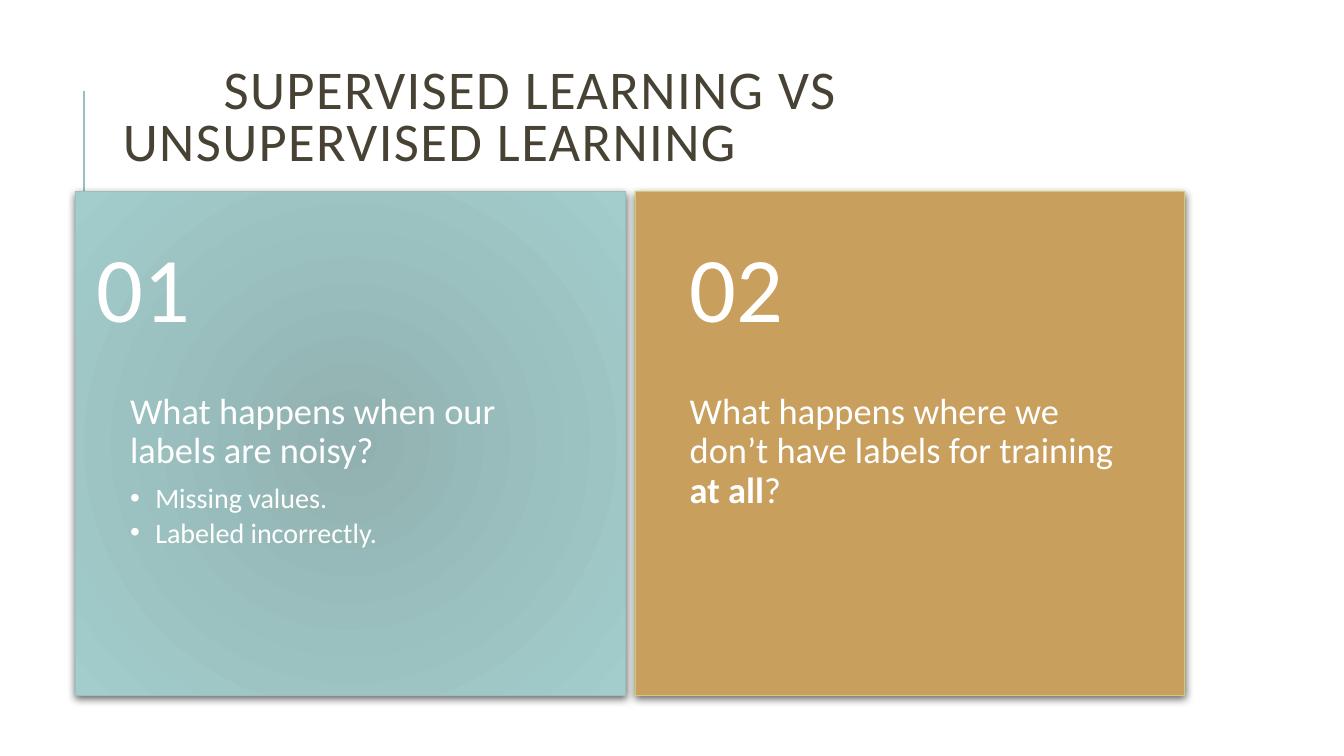
from lxml.etree import SubElement as Sub
from pptx import Presentation
from pptx.dml.color import RGBColor
from pptx.enum.shapes import MSO_CONNECTOR as Conn, MSO_SHAPE as Shape
from pptx.enum.text import MSO_ANCHOR as Anchor
from pptx.oxml.ns import qn
from pptx.util import Inches, Pt

FONT = "Calibri"
WHITE = "FFFFFF"
CARD_W, CARD_H, CARD_TOP = 5.45, 5, 1.9
HEAD_H = 2


def rgb(code):
    return RGBColor.from_string(code)


def add_box(slide, x, y, w, h, insets, anchor=Anchor.TOP):
    box = slide.shapes.add_textbox(Inches(x), Inches(y), Inches(w), Inches(h))
    frame = box.text_frame
    frame.word_wrap = True
    frame.vertical_anchor = anchor
    sides = [Inches(n) for n in insets]
    frame.margin_left, frame.margin_top, frame.margin_right, frame.margin_bottom = sides
    return frame


def add_run(para, text, size, color=WHITE, bold=False):
    run = para.add_run()
    run.text = text
    font = run.font
    font.name, font.size, font.bold = FONT, Pt(size), bold
    font.color.rgb = rgb(color)
    return run


def set_gap(para, after, line=0.9):
    """Set line spacing, and space after as a percentage of the text size."""
    para.line_spacing = line
    para.space_after = Pt(0)
    gap = para._p.pPr.find(qn("a:spcAft"))
    gap.clear()
    Sub(gap, qn("a:spcPct"), val=str(after * 1000))


def set_bullet(para):
    para.level = 1
    props = para._p.get_or_add_pPr()
    props.set("marL", str(Inches(0.25)))
    props.set("indent", str(-Inches(0.25)))
    Sub(props, qn("a:buFont"), typeface="Arial")
    Sub(props, qn("a:buChar"), char="•")


def set_glow(fill, inner, outer):
    """Radial gradient from the centre of the card."""
    fill.gradient()
    for stop, color, pos in zip(fill.gradient_stops, (inner, outer), (0, 1)):
        stop.color.rgb = rgb(color)
        stop.position = pos


def add_shadow(card):
    card.shadow.inherit = False
    effects = card._element.spPr.find(qn("a:effectLst"))
    shade = Sub(effects, qn("a:outerShdw"), blurRad=str(Pt(6)), dist=str(Pt(2)),
                dir="5400000", algn="ctr", rotWithShape="0")
    black = Sub(shade, qn("a:srgbClr"), val="000000")
    Sub(black, qn("a:alpha"), val="60000")


def add_card(slide, x, fills, edge):
    card = slide.shapes.add_shape(Shape.RECTANGLE, Inches(x), Inches(CARD_TOP),
                                  Inches(CARD_W), Inches(CARD_H))
    if len(fills) == 2:
        set_glow(card.fill, *fills)
        grad = card._element.spPr.find(qn("a:gradFill"))
        grad.remove(grad.find(qn("a:lin")))
        ring = Sub(grad, qn("a:path"), path="circle")
        Sub(ring, qn("a:fillToRect"), **dict.fromkeys("ltrb", "100000"))
    else:
        card.fill.solid()
        card.fill.fore_color.rgb = rgb(fills[0])
    card.line.color.rgb = rgb(edge)
    card.line.width = Pt(0.75)
    add_shadow(card)


def add_number(slide, x, text):
    frame = add_box(slide, x, CARD_TOP, CARD_W, HEAD_H,
                    (0.54, 0.18, 0.54, 0.18), Anchor.MIDDLE)
    para = frame.paragraphs[0]
    set_gap(para, 35)
    add_run(para, text, 66)


def add_body(slide, x, runs, points=()):
    frame = add_box(slide, x, CARD_TOP + HEAD_H, CARD_W, CARD_H - HEAD_H,
                    (0.54, 0, 0.54, 0.36))
    para = frame.paragraphs[0]
    set_gap(para, 35)
    for text, bold in runs:
        add_run(para, text, 26, bold=bold)
    for point in points:
        para = frame.add_paragraph()
        set_gap(para, 15)
        set_bullet(para)
        add_run(para, point, 20)


def add_title(slide, text):
    frame = add_box(slide, 1.12, 0.64, 10.63, 1.64, (0.1, 0.03, 0.1, 0.05))
    para = frame.paragraphs[0]
    para.line_spacing = 0.8
    para._p.get_or_add_pPr().set("indent", str(Inches(1)))
    run = add_run(para, text, 39, "474233")
    run.font._element.set("spc", "100")


def add_rule(slide):
    rule = slide.shapes.add_connector(Conn.STRAIGHT, Inches(0.83), Inches(1.9),
                                      Inches(0.83), Inches(0.9))
    rule.line.color.rgb = rgb("9CBEBD")
    rule.line.width = Pt(1.5)
    Sub(rule._element.spPr, qn("a:effectLst"))


def main():
    deck = Presentation()
    deck.slide_width, deck.slide_height = Inches(13.33), Inches(7.5)
    slide = deck.slides.add_slide(deck.slide_layouts[6])

    # Heading
    add_rule(slide)
    add_title(slide, "SUPERVISED LEARNING VS UNSUPERVISED LEARNING")

    # Noisy labels
    left = 0.75
    add_card(slide, left, ("91B1B0", "A2CDCC"), "9CBEBD")
    add_body(slide, left, [("What happens when our labels are noisy?", False)],
             ("Missing values.", "Labeled incorrectly."))
    add_number(slide, 0.42, "01")

    # No labels
    right = 6.3
    add_card(slide, right, ("C89F5D",), "D2CB6C")
    add_body(slide, right, [
        ("What happens where we don’t have labels for training ", False),
        ("at all", True), ("?", False)])
    add_number(slide, right, "02")

    deck.save("out.pptx")


if __name__ == "__main__":
    main()
